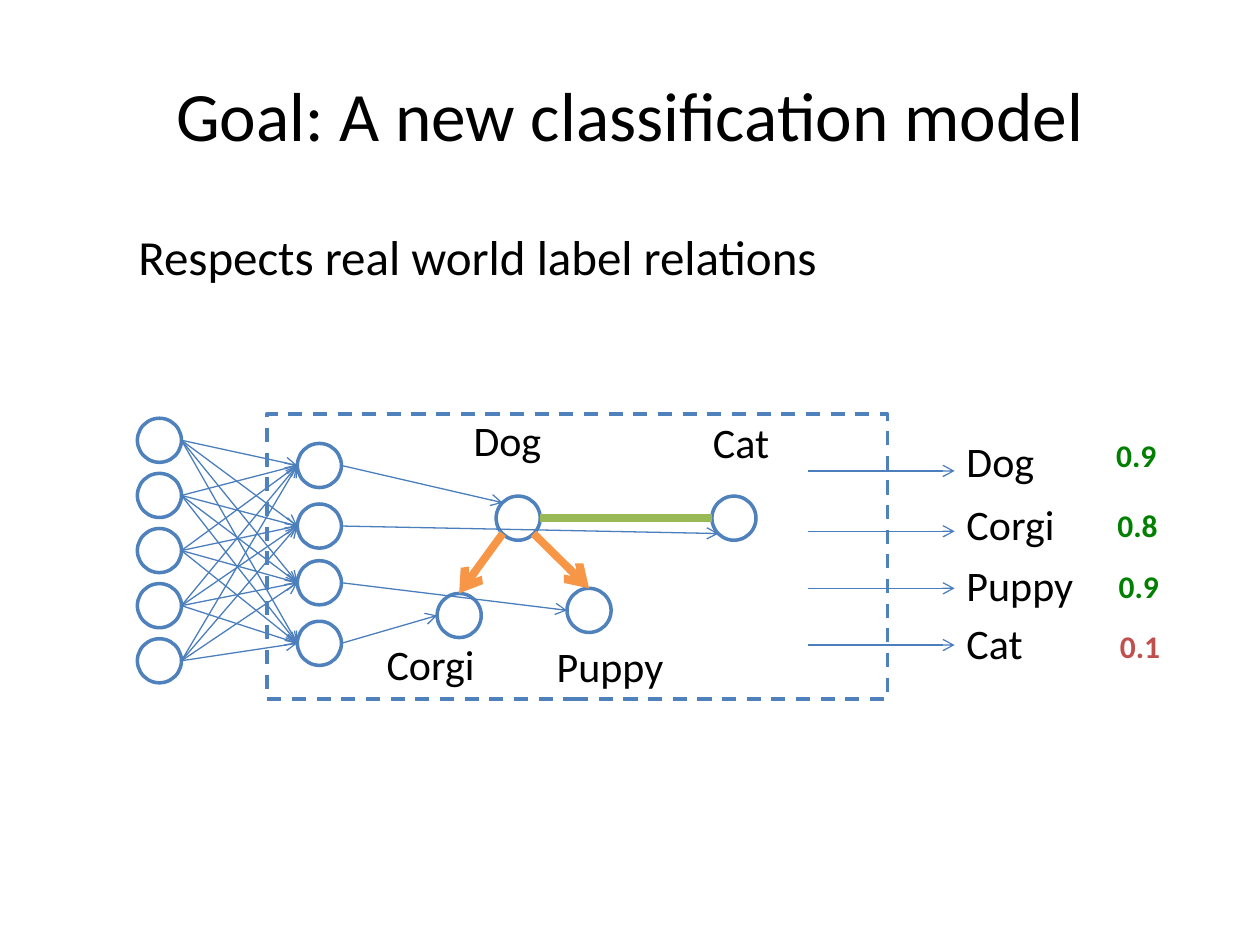
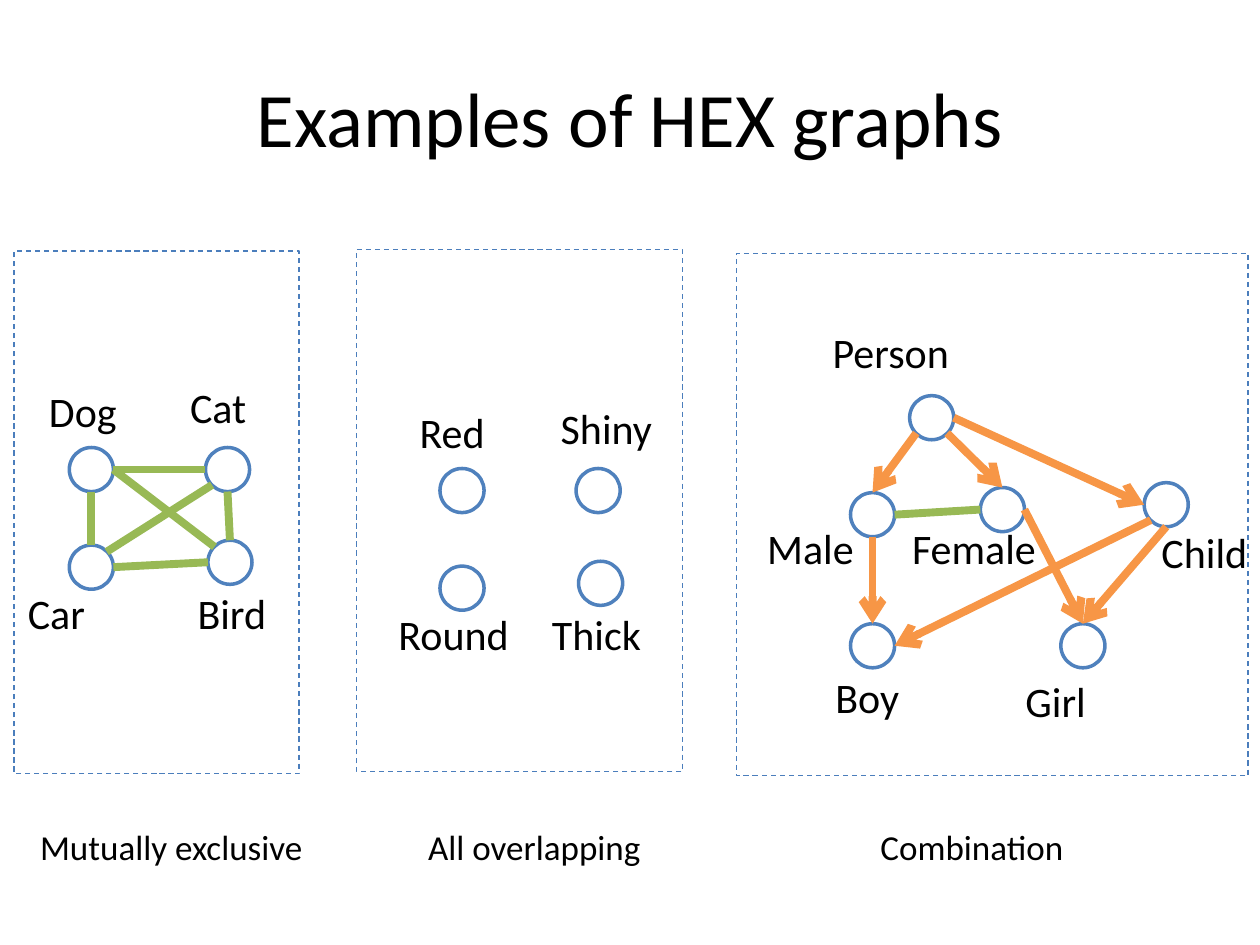
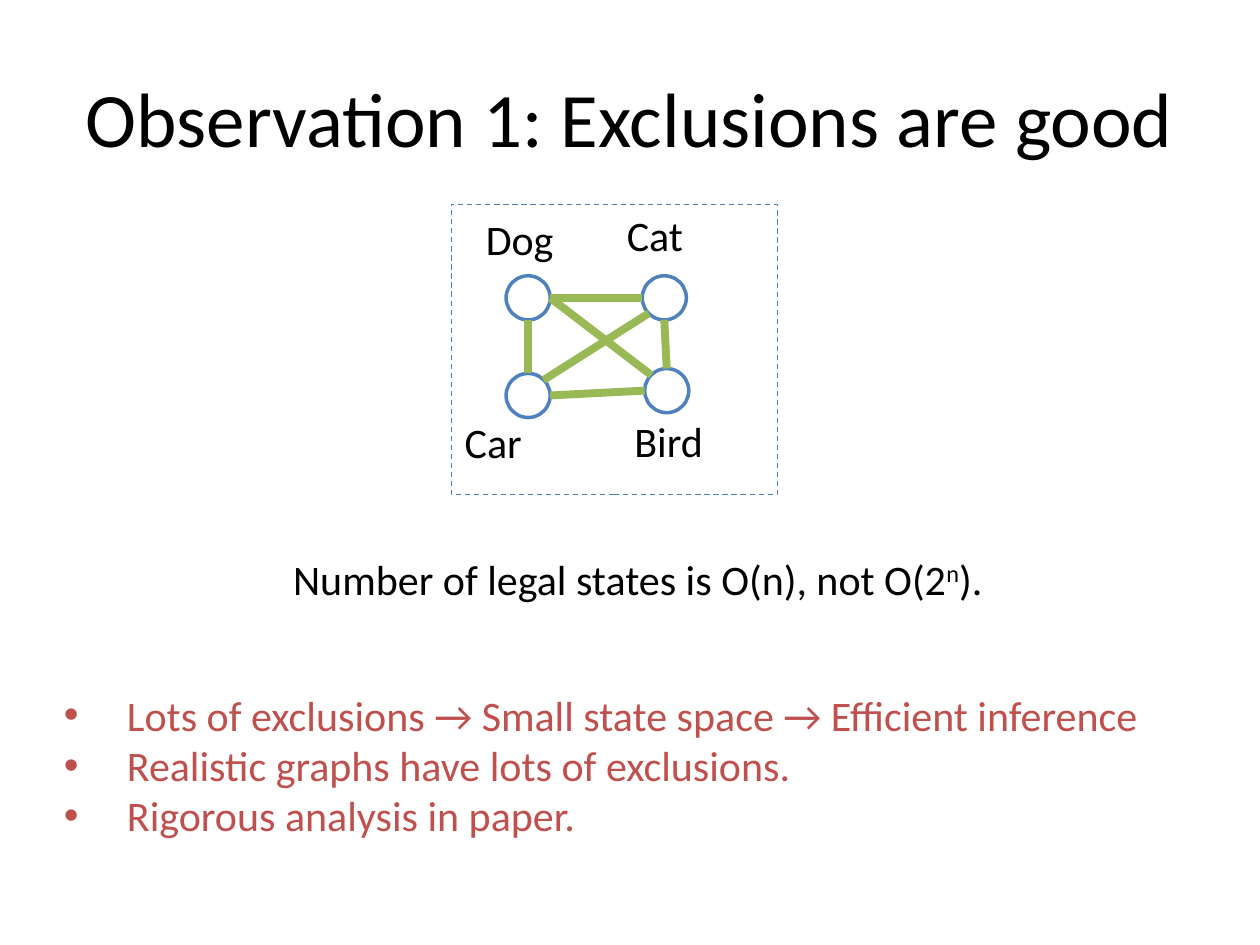
import pptx
import pptx.dml.color
import pptx.enum.dml
import pptx.enum.shapes
import pptx.enum.text
import pptx.oxml.ns
import pptx.util
from lxml import etree

Pt = pptx.util.Pt
RGBColor = pptx.dml.color.RGBColor
SHAPE = pptx.enum.shapes.MSO_SHAPE
qn = pptx.oxml.ns.qn

# Shared style
FONT = "Calibri"
BLACK = RGBColor(0x00, 0x00, 0x00)
WHITE = RGBColor(0xFF, 0xFF, 0xFF)
BLUE = RGBColor(0x4F, 0x81, 0xBD)
THIN_BLUE = RGBColor(0x4B, 0x7E, 0xBC)
ORANGE = RGBColor(0xF7, 0x96, 0x46)
LIME = RGBColor(0x98, 0xB9, 0x55)
GREEN = RGBColor(0x00, 0x80, 0x00)
RED = RGBColor(0xC0, 0x50, 0x4D)

DIAMETER = 25.2
LABEL_W, LABEL_H = 109.4, 36

# Points on a node's rim, as fractions of its diameter
RIM = {"n": (0.5, 0), "s": (0.5, 1), "w": (0, 0.5), "e": (1, 0.5),
       "nw": (0.15, 0.15), "ne": (0.85, 0.15),
       "sw": (0.15, 0.85), "se": (0.85, 0.85)}


# Text
def add_run(p, text, size, color=BLACK, bold=False):
    r = p.add_run()
    r.text = text
    r.font.name = FONT
    r.font.size = Pt(size)
    r.font.bold = bold
    r.font.color.rgb = color
    return r


def add_box(s, x, y, w, h):
    tf = s.shapes.add_textbox(Pt(x), Pt(y), Pt(w), Pt(h)).text_frame
    tf.word_wrap = True
    return tf


def add_label(s, text, x, y, w=LABEL_W, h=LABEL_H, size=24, color=BLACK, bold=False):
    p = add_box(s, x, y, w, h).paragraphs[0]
    add_run(p, text, size, color, bold)
    return p


def add_title(s, text, top=21.6, size=44, bottom_inset=3.6):
    tf = add_box(s, 36, top, 648, 90)
    tf.vertical_anchor = pptx.enum.text.MSO_ANCHOR.MIDDLE
    tf.margin_bottom = Pt(bottom_inset)
    tf.paragraphs[0].alignment = pptx.enum.text.PP_ALIGN.CENTER
    add_run(tf.paragraphs[0], text, size)


def set_indent(p, left, first=0):
    pPr = p._p.get_or_add_pPr()
    pPr.set("marL", str(Pt(left)))
    pPr.set("indent", str(Pt(first)))
    return pPr


def add_bullets(s, lines, x, y, w, h):
    tf = add_box(s, x, y, w, h)
    for i, line in enumerate(lines):
        p = tf.add_paragraph() if i else tf.paragraphs[0]
        pPr = set_indent(p, 36, -36)
        etree.SubElement(pPr, qn("a:buFont")).set("typeface", "Arial")
        etree.SubElement(pPr, qn("a:buChar")).set("char", "•")
        add_run(p, line, 24, RED)


# Shapes and lines
def add_node(s, x, y):
    sp = s.shapes.add_shape(SHAPE.OVAL, Pt(x), Pt(y), Pt(DIAMETER), Pt(DIAMETER))
    sp.shadow.inherit = False
    sp.fill.solid()
    sp.fill.fore_color.rgb = WHITE
    sp.line.color.rgb = BLUE
    sp.line.width = Pt(2)
    return x, y


def add_frame(s, x, y, w, h, color=THIN_BLUE, width=0.75):
    sp = s.shapes.add_shape(SHAPE.RECTANGLE, Pt(x), Pt(y), Pt(w), Pt(h))
    sp.shadow.inherit = False
    sp.fill.background()
    sp.line.color.rgb = color
    sp.line.width = Pt(width)
    sp.line.dash_style = pptx.enum.dml.MSO_LINE.DASH


def add_line(s, start, end, color=THIN_BLUE, width=0.75, arrow=True):
    straight = pptx.enum.shapes.MSO_CONNECTOR.STRAIGHT
    c = s.shapes.add_connector(straight, *(Pt(v) for v in (*start, *end)))
    c.line.color.rgb = color
    c.line.width = Pt(width)
    if arrow:
        etree.SubElement(c.line._get_or_add_ln(), qn("a:tailEnd")).set("type", "arrow")
    etree.SubElement(c._element.spPr, qn("a:effectLst"))


def rim(node, side):
    return tuple(v + f * DIAMETER for v, f in zip(node, RIM[side]))


def link(s, a, side_a, b, side_b):
    add_line(s, rim(a, side_a), rim(b, side_b))


def exclude(s, a, side_a, b, side_b):
    add_line(s, rim(a, side_a), rim(b, side_b), LIME, 4.5, arrow=False)


def include(s, a, side_a, b, side_b):
    add_line(s, rim(a, side_a), rim(b, side_b), ORANGE, 4.5)


# Graphs
def add_graph(s, items):
    """Place labelled nodes: (name, node x, node y, label x, label y)."""
    nodes = {}
    for name, x, y, label_x, label_y in items:
        add_label(s, name, label_x, label_y)
        nodes[name] = add_node(s, x, y)
    return nodes


def add_four_nodes(s, left, top, names, last_label_dx):
    """Names run top left, top right, bottom left, bottom right."""
    offsets = [(0, 0, -18.7, -38.9), (77.8, 0, 61.9, -41.4),
               (0, 55.8, -30.8, 76.7), (79.2, 53, last_label_dx, 76.3)]
    items = [(name, left + x, top + y, left + lx, top + ly)
             for name, (x, y, lx, ly) in zip(names, offsets)]
    return add_graph(s, items)


def add_exclusive_graph(s, left, top):
    nodes = add_four_nodes(s, left, top, ["Dog", "Cat", "Car", "Bird"], 66.2)
    dog, cat, car, bird = nodes.values()
    exclude(s, dog, "e", cat, "w")
    exclude(s, dog, "s", car, "n")
    exclude(s, bird, "w", car, "e")
    exclude(s, bird, "n", cat, "s")
    exclude(s, dog, "e", bird, "nw")
    exclude(s, car, "ne", cat, "sw")


def add_combination_graph(s):
    nodes = add_graph(s, [
        ("Person", 519.8, 226.1, 468.7, 182.9),
        ("Male", 486, 281.5, 431.3, 295.2),
        ("Female", 560.2, 278.6, 514.1, 295.2),
        ("Child", 653.8, 275.8, 656.6, 297.4),
        ("Boy", 486, 356.4, 470.2, 380.2),
        ("Girl", 606.2, 356.4, 578.9, 382.3)])
    person, male, female, child, boy, girl = nodes.values()
    include(s, person, "sw", male, "n")
    include(s, person, "se", female, "n")
    exclude(s, male, "e", female, "w")
    include(s, person, "e", child, "w")
    include(s, male, "s", boy, "n")
    include(s, child, "sw", boy, "e")
    include(s, female, "e", girl, "n")
    include(s, child, "s", girl, "n")


# Slides
def goal_slide(s):
    add_title(s, "Goal: A new classification model", 43.9, 39.6, 51.6)
    p = add_box(s, 36, 126, 648, 356.4).paragraphs[0]
    set_indent(p, 36)
    add_run(p, "Respects real world label relations", 28)

    # Fully connected layers
    inputs = [add_node(s, 78.5, 239 + 31.5 * i) for i in range(5)]
    hidden = [add_node(s, 169.9, y) for y in (253.4, 288, 320.4, 355)]
    for unit in hidden:
        for source in inputs:
            link(s, source, "e", unit, "w")
    add_frame(s, 152.6, 236.6, 354.6, 162.8, BLUE, 2)

    # Outputs and their scores
    outputs = [("Dog", 245.5, 269.1, "0.9", 245.5, GREEN),
               ("Corgi", 281.5, 303.6, "0.8", 285.8, GREEN),
               ("Puppy", 316.1, 336.2, "0.9", 320.4, GREEN),
               ("Cat", 349.2, 368.6, "0.1", 355, RED)]
    for i, (name, y, arrow_y, score, score_y, color) in enumerate(outputs):
        add_line(s, (461.8, arrow_y), (545.5, arrow_y))
        add_label(s, name, 545.2, y)
        add_label(s, score, 630.7 + 0.7 * i, score_y, 46.8, 28.8, 18, color, True)

    # Label graph
    nodes = add_graph(s, [("Dog", 283.5, 283.5, 263.5, 233.3),
                          ("Cat", 406.8, 283.5, 400.3, 234.7),
                          ("Puppy", 324, 336.2, 311, 362.2),
                          ("Corgi", 249.8, 339.1, 213.8, 361.4)])
    dog, cat, puppy, corgi = nodes.values()
    include(s, dog, "sw", corgi, "n")
    include(s, dog, "se", puppy, "n")
    exclude(s, dog, "e", cat, "w")
    for unit, node, side in zip(hidden, nodes.values(), ("nw", "sw", "w", "w")):
        link(s, unit, "e", node, side)


def examples_slide(s):
    add_title(s, "Examples of HEX graphs")
    add_exclusive_graph(s, 39.6, 255.7)
    add_four_nodes(s, 251.4, 267.7, ["Red", "Shiny", "Round", "Thick"], 56.9)
    add_combination_graph(s)
    panels = [("Mutually exclusive", 8, 143.5, 162.9, 15.8, 195),
              ("All overlapping", 203.6, 142.5, 186.3, 237.6, 158.4),
              ("Combination", 421, 144.8, 292.2, 496, 158.4)]
    for caption, x, y, w, caption_x, caption_w in panels:
        add_frame(s, x, y, w, 298.6)
        add_label(s, caption, caption_x, 468.2, caption_w, 31.5, 20)


def exclusions_slide(s):
    add_title(s, "Observation 1: Exclusions are good")
    add_exclusive_graph(s, 289.2, 157.6)
    add_frame(s, 257.9, 116.8, 186.3, 166)
    p = add_label(s, "Number of legal states is O(n), not O(2", 160.4, 312.5, 414)
    add_run(p, "n", 24).font._element.set("baseline", "30000")
    add_run(p, ").", 24)
    add_bullets(s, ["Lots of exclusions → Small state space → Efficient inference",
                    "Realistic graphs have lots of exclusions.",
                    "Rigorous analysis in paper."], 29.5, 390.2, 703.4, 94.3)


def main():
    prs = pptx.Presentation()
    prs.slide_width, prs.slide_height = Pt(720), Pt(540)
    for build in (goal_slide, examples_slide, exclusions_slide):
        build(prs.slides.add_slide(prs.slide_layouts[6]))
    prs.save("out.pptx")


if __name__ == "__main__":
    main()
